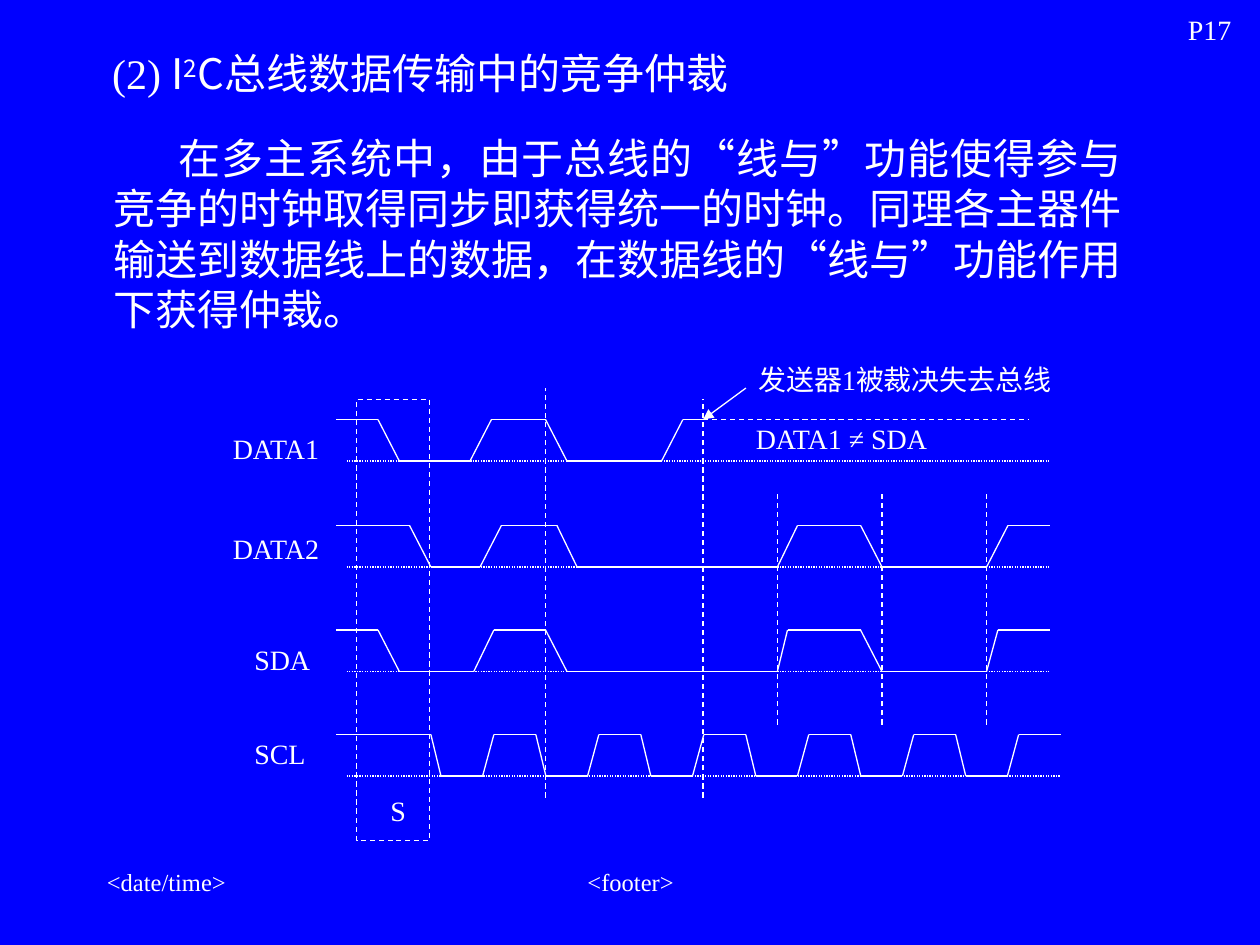
from itertools import pairwise
from lxml import etree
from pptx import Presentation
from pptx.dml.color import RGBColor
from pptx.enum.dml import MSO_LINE_DASH_STYLE as Dash
from pptx.enum.shapes import MSO_CONNECTOR, MSO_SHAPE
from pptx.enum.text import MSO_ANCHOR, PP_ALIGN
from pptx.oxml.ns import qn
from pptx.util import Inches, Pt

BLUE = RGBColor(0x00, 0x00, 0xFF)
WHITE = RGBColor(0xFF, 0xFF, 0xFF)
SERIF, CJK = "Times New Roman", "Noto Sans CJK SC"

TITLE_RUNS = [("(2) ", SERIF, False), ("I", CJK, False), ("2", CJK, True),
              ("C总线数据传输中的竞争仲裁", CJK, False)]
BODY = ("在多主系统中，由于总线的“线与”功能使得参与竞争的时钟取得同步即获得统一的时钟。"
        "同理各主器件输送到数据线上的数据，在数据线的“线与”功能作用下获得仲裁。")

LABELS = [
    ("S", 3, 6.25, 0.5), ("DATA1", 1.75, 3.38, 1), ("DATA2", 1.75, 4.17, 1),
    ("SDA", 1.92, 5.05, 0.83), ("SCL", 1.92, 5.8, 0.83),
    ("发送器1被裁决失去总线", 5.92, 2.83, 2.67),
    ("DATA1 ≠ SDA", 5.9, 3.3, 2.27), ("P17", 9.33, 0.05, 0.67),
]
FOOTERS = [("<footer>", 3.42, 3.17, PP_ALIGN.CENTER),
           ("<date/time>", 0.75, 2.08, PP_ALIGN.LEFT)]

SWING = 0.33
SCL_START, SCL_PERIOD, SCL_CYCLES = 3.42, 0.833, 6
SCL_EDGES = [SCL_START + cycle * SCL_PERIOD + offset
             for cycle in range(SCL_CYCLES) for offset in (0, 0.08, 0.41, 0.5)]
SIGNALS = [
    (3.33, 8.33, [2.67, 3, 3.17, 3.73, 3.9, 4.33, 4.5, 5.25, 5.42, 5.58]),
    (4.17, 8.33, [2.67, 3.25, 3.42, 3.81, 3.98, 4.42, 4.58, 6.17, 6.33, 6.83,
                  7, 7.83, 8, 8.33]),
    (5, 8.33, [2.67, 3, 3.17, 3.76, 3.92, 4.33, 4.5, 6.17, 6.25, 6.83,
               7, 7.83, 7.92, 8.33]),
    (5.83, 8.42, [2.67, *SCL_EDGES, 8.42]),
]
DASHED = [
    ((4.33, 6.33), (4.33, 3.08)), ((5.58, 6.33), (5.58, 3.17)),
    ((5.58, 3.33), (8.17, 3.33)),
    *(((x, 5.75), (x, 3.92)) for x in (6.17, 7, 7.83)),
]


def add_line(slide, start, end, dash=None):
    line = slide.shapes.add_connector(
        MSO_CONNECTOR.STRAIGHT, *(Inches(value) for value in (*start, *end)))
    line.line.color.rgb = WHITE
    line.line.width = Pt(0.75)
    if dash is not None:
        line.line.dash_style = dash
    etree.SubElement(line._element.spPr, qn("a:effectLst"))
    return line


def add_run(paragraph, text):
    run = paragraph.add_run()
    run.text = text
    properties = run._r.get_or_add_rPr()
    properties.set("lang", "zh-CN")
    etree.SubElement(properties, qn("a:ea")).set("typeface", CJK)
    return run


def style(paragraph, size, align=PP_ALIGN.LEFT):
    paragraph.alignment = align
    paragraph.font.size = Pt(size)
    paragraph.font.name = SERIF
    paragraph.font.color.rgb = WHITE


def add_text(slide, text, left, top, width, height, size, align=PP_ALIGN.LEFT):
    box = slide.shapes.add_textbox(*(Inches(v) for v in (left, top, width, height)))
    box.text_frame.word_wrap = True
    paragraph = box.text_frame.paragraphs[0]
    style(paragraph, size, align)
    add_run(paragraph, text)
    return paragraph


def add_title(slide):
    title = slide.shapes.title
    title.left, title.top = Inches(0.75), Inches(0.33)
    title.width, title.height = Inches(5.17), Inches(0.5)
    title.text_frame.word_wrap = True
    title.text_frame.vertical_anchor = MSO_ANCHOR.MIDDLE
    paragraph = title.text_frame.paragraphs[0]
    style(paragraph, 24, PP_ALIGN.CENTER)
    paragraph.line_spacing = Pt(28.8)
    for text, font, superscript in TITLE_RUNS:
        run = add_run(paragraph, text)
        run.font.name = font
        if superscript:
            run.font._element.set("baseline", "30000")


def add_body(slide):
    paragraph = add_text(slide, BODY, 0.42, 1, 8.58, 1.92, 24, PP_ALIGN.JUSTIFY)
    paragraph.line_spacing = Pt(28.8)
    properties = paragraph._p.get_or_add_pPr()
    properties.set("marL", str(Inches(0.38)))
    properties.set("indent", str(Inches(0.52)))


def add_timing_diagram(slide):
    for high, baseline_end, edges in SIGNALS:
        low = high + SWING
        add_line(slide, (2.75, low), (baseline_end, low), Dash.ROUND_DOT)
        levels = (high, high, low, low)
        points = [(x, levels[index % 4]) for index, x in enumerate(edges)]
        for start, end in pairwise(points):
            add_line(slide, start, end)
    for start, end in DASHED:
        add_line(slide, start, end, Dash.DASH)

    start_box = slide.shapes.add_shape(
        MSO_SHAPE.RECTANGLE, Inches(2.83), Inches(3.17), Inches(0.58), Inches(3.5))
    start_box.shadow.inherit = False
    start_box.fill.background()
    start_box.line.color.rgb = WHITE
    start_box.line.width = Pt(0.75)
    start_box.line.dash_style = Dash.DASH

    arrow = add_line(slide, (5.92, 3.08), (5.58, 3.33))
    etree.SubElement(arrow.line._get_or_add_ln(), qn("a:tailEnd")).set("type", "triangle")


def main():
    presentation = Presentation()
    presentation.slide_width, presentation.slide_height = Inches(10), Inches(7.5)
    slide = presentation.slides.add_slide(presentation.slide_layouts[5])
    slide.background.fill.solid()
    slide.background.fill.fore_color.rgb = BLUE
    add_title(slide)
    add_body(slide)
    add_timing_diagram(slide)
    for text, left, top, width in LABELS:
        add_text(slide, text, left, top, width, 0.37, 16)
    for text, left, width, align in FOOTERS:
        add_text(slide, text, left, 6.83, width, 0.5, 14, align)
    presentation.save("out.pptx")


if __name__ == "__main__":
    main()
